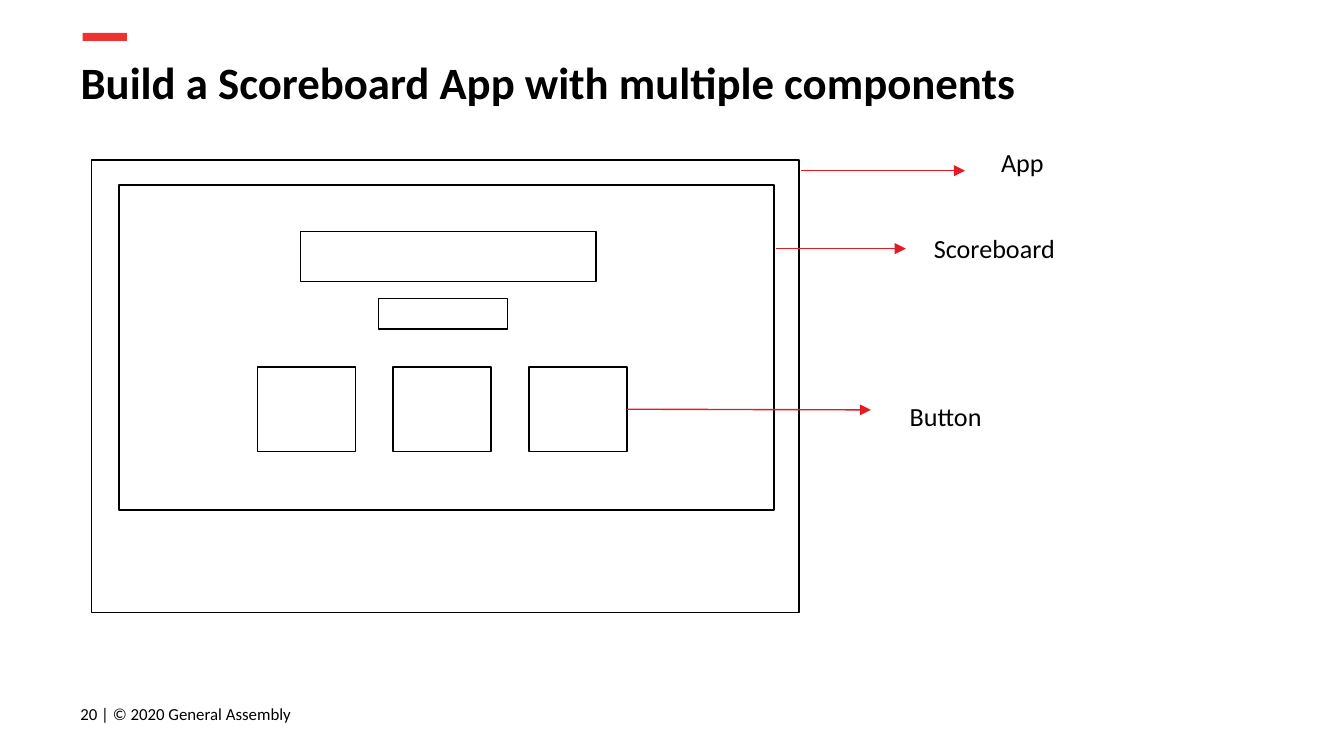
"""Build the scoreboard component slide."""
from dataclasses import dataclass

from lxml.etree import SubElement
from pptx import Presentation
from pptx.dml.color import RGBColor as Rgb
from pptx.enum.shapes import MSO_CONNECTOR as Connector, MSO_SHAPE as Shape
from pptx.enum.text import MSO_ANCHOR as Anchor, MSO_AUTO_SIZE as AutoSize, PP_ALIGN as Align
from pptx.oxml.ns import qn
from pptx.util import Pt

EMU_PER_PX = 4572
RIGHT_SIDE = 3


@dataclass(frozen=True)
class Theme:
    font: str = "Calibri"
    ink: Rgb = Rgb(0x00, 0x00, 0x00)
    accent: Rgb = Rgb(0xED, 0x33, 0x2F)
    arrow: Rgb = Rgb(0xE5, 0x1B, 0x24)
    title_size: int = 24
    label_size: int = 14
    footer_size: int = 9
    line_width: float = 0.75


THEME = Theme()


def px(*lengths):
    return [length * EMU_PER_PX for length in lengths]


def write(frame, wording, size, bold=False, anchor=Anchor.TOP, auto_size=AutoSize.NONE):
    frame.word_wrap = True
    frame.auto_size = auto_size
    frame.vertical_anchor = anchor
    (frame.margin_left, frame.margin_top,
     frame.margin_right, frame.margin_bottom) = px(20, 20, 20, 20)
    paragraph = frame.paragraphs[0]
    paragraph.alignment = Align.LEFT
    run = paragraph.add_run()
    run.text = wording
    run.font.name = THEME.font
    run.font.size = Pt(size)
    run.font.bold = bold
    run.font.color.rgb = THEME.ink


def add_title(slide, wording, box):
    title = slide.shapes.title
    title.left, title.top, title.width, title.height = px(*box)
    write(title.text_frame, wording, THEME.title_size, bold=True)


def add_text(slide, wording, box, size, **options):
    write(slide.shapes.add_textbox(*px(*box)).text_frame, wording, size, **options)


def add_accent_bar(slide, box):
    bar = slide.shapes.add_shape(Shape.RECTANGLE, *px(*box))
    bar.shadow.inherit = False
    bar.fill.solid()
    bar.fill.fore_color.rgb = THEME.accent
    bar.line.fill.background()


def add_outline(slide, box):
    outline = slide.shapes.add_shape(Shape.RECTANGLE, *px(*box))
    outline.shadow.inherit = False
    outline.fill.background()
    outline.line.color.rgb = THEME.ink
    outline.line.width = Pt(THEME.line_width)
    return outline


def add_arrow(slide, start, end):
    arrow = slide.shapes.add_connector(Connector.STRAIGHT, *px(*start, *end))
    arrow.line.color.rgb = THEME.arrow
    arrow.line.width = Pt(THEME.line_width)
    SubElement(arrow.line._get_or_add_ln(), qn("a:tailEnd"), type="triangle")
    SubElement(arrow._element.spPr, qn("a:effectLst"))
    return arrow


def main():
    deck = Presentation()
    deck.slide_width, deck.slide_height = px(2000, 1125)
    slide = deck.slides.add_slide(deck.slide_layouts[5])

    add_accent_bar(slide, (123, 49, 66, 12))
    add_title(slide, "Build a Scoreboard App with multiple components", (100, 62, 1864, 126))
    add_text(slide, "20 | © 2020 General Assembly", (100, 1020, 518, 86),
             THEME.footer_size, anchor=Anchor.MIDDLE)

    app, scoreboard = (136, 238, 1053, 674), (177, 275, 975, 484)
    heading, score = (447, 345, 440, 74), (563, 444, 192, 46)
    for component in (app, scoreboard, heading, score):
        add_outline(slide, component)
    buttons = [add_outline(slide, (383 + 202 * column, 546, 146, 126)) for column in range(3)]

    add_arrow(slide, (1192, 254), (1436, 254))
    add_arrow(slide, (1155, 370), (1348, 370))
    button_arrow = add_arrow(slide, (933, 609), (1296, 610))
    button_arrow.begin_connect(buttons[-1], RIGHT_SIDE)

    for name, left, top, width in (
        ("App", 1470, 198, 338),
        ("Scoreboard", 1370, 326, 420),
        ("Button", 1334, 576, 356),
    ):
        add_text(slide, name, (left, top, width, 88), THEME.label_size,
                 auto_size=AutoSize.SHAPE_TO_FIT_TEXT)

    deck.save("out.pptx")


if __name__ == "__main__":
    main()
